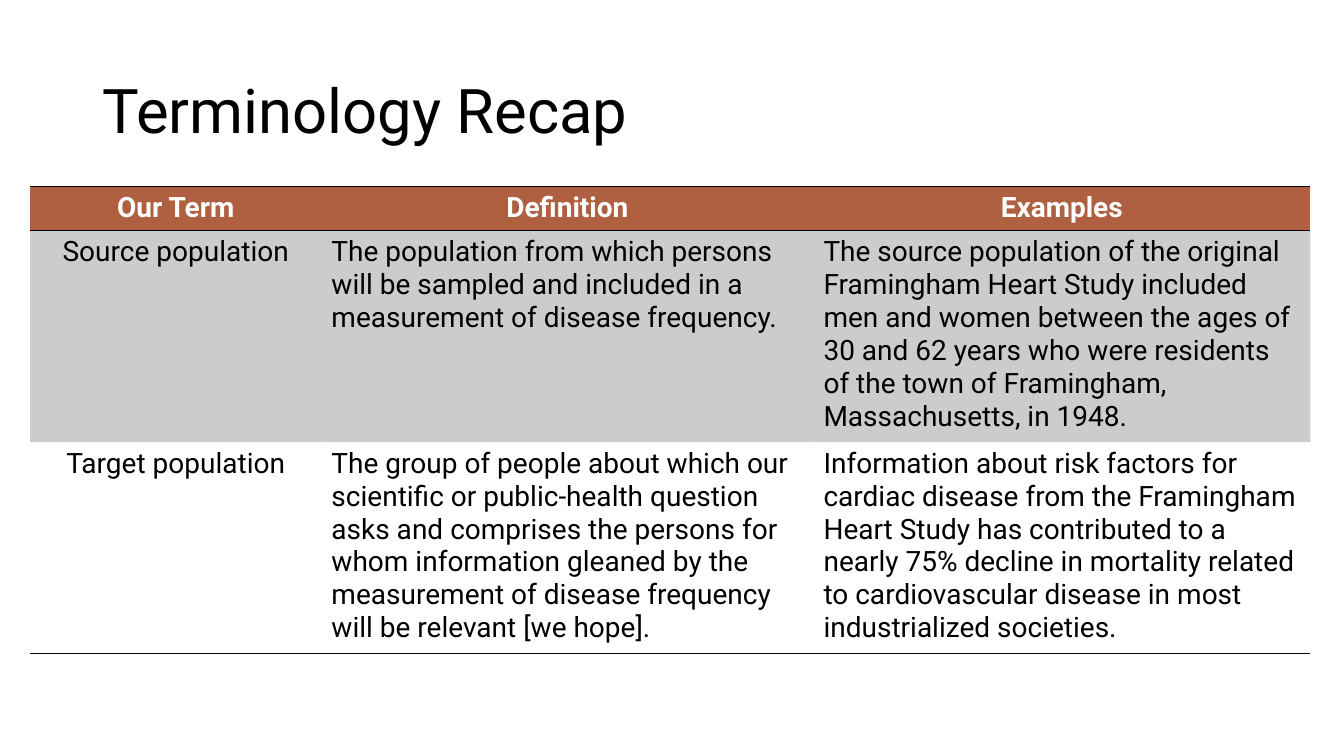
import pptx
import pptx.dml.color
import pptx.enum.text
import pptx.oxml
import pptx.oxml.ns
import pptx.util
from lxml import etree

Cm = pptx.util.Cm
Pt = pptx.util.Pt
RGBColor = pptx.dml.color.RGBColor
PP_ALIGN = pptx.enum.text.PP_ALIGN

BLACK = RGBColor(0x00, 0x00, 0x00)
WHITE = RGBColor(0xFF, 0xFF, 0xFF)
RUST = RGBColor(0xAE, 0x60, 0x41)
FONT = "Roboto"
PLAIN_TABLE_STYLE = "{2D5ABB26-0587-4C30-8999-92F81FD0307C}"

COLUMN_WIDTHS = (Cm(7.34), Cm(12.4), Cm(12.52))
ROW_HEIGHTS = (Cm(1.09), Cm(5.24), Cm(5.24))
TERMS = (
    ("Our Term", "Definition", "Examples"),
    (
        "Source population",
        "The population from which persons will be sampled and included in a "
        "measurement of disease frequency.",
        "The source population of the original Framingham Heart Study included "
        "men and women between the ages of 30 and 62 years who were residents "
        "of the town of Framingham, Massachusetts, in 1948.",
    ),
    (
        "Target population",
        "The group of people about which our scientific or public-health "
        "question asks and comprises the persons for whom information gleaned "
        "by the measurement of disease frequency will be relevant [we hope].",
        "Information about risk factors for cardiac disease from the Framingham "
        "Heart Study has contributed to a nearly 75% decline in mortality "
        "related to cardiovascular disease in most industrialized societies.",
    ),
)


def style_paragraph(para, size, color, bold=False, align=PP_ALIGN.LEFT):
    para.alignment = align
    para.font.name = FONT
    para.font.size = Pt(size)
    para.font.bold = bold
    para.font.color.rgb = color


def add_title(page, text):
    box = page.shapes.add_textbox(Cm(2.33), Cm(1.02), Cm(29.21), Cm(3.68))
    frame = box.text_frame
    frame.word_wrap = True
    frame.vertical_anchor = pptx.enum.text.MSO_ANCHOR.MIDDLE
    frame.text = text
    para = frame.paragraphs[0]
    para.line_spacing = 0.9
    style_paragraph(para, 44, BLACK)


def fill_cell(cell, color, opacity=100):
    """Fill a cell; opacity is in percent."""
    cell.fill.solid()
    cell.fill.fore_color.rgb = color
    if opacity < 100:
        tint = next(cell._tc.tcPr.iter(pptx.oxml.ns.qn("a:srgbClr")))
        alpha = etree.SubElement(tint, pptx.oxml.ns.qn("a:alpha"))
        alpha.set("val", str(opacity * 1000))


def add_borders(cell, sides):
    """Draw 1 pt black borders; sides holds T and B in that order."""
    properties = cell._tc.get_or_add_tcPr()
    for position, side in enumerate(sides):
        line = pptx.oxml.parse_xml(
            f'<a:ln{side} {pptx.oxml.ns.nsdecls("a")} w="{Pt(1)}">'
            f'<a:solidFill><a:srgbClr val="{BLACK}"/></a:solidFill>'
            f'</a:ln{side}>'
        )
        properties.insert(position, line)


def add_terms_table(page):
    frame = page.shapes.add_table(
        len(TERMS), len(COLUMN_WIDTHS), Cm(0.76), Cm(4.7),
        sum(COLUMN_WIDTHS), sum(ROW_HEIGHTS),
    )
    table = frame.table
    table.horz_banding = False
    style_id = table._tbl.tblPr.find(pptx.oxml.ns.qn("a:tableStyleId"))
    style_id.text = PLAIN_TABLE_STYLE
    for column, width in zip(table.columns, COLUMN_WIDTHS):
        column.width = width
    for row, height in zip(table.rows, ROW_HEIGHTS):
        row.height = height

    for row_index, texts in enumerate(TERMS):
        is_header = row_index == 0
        for column_index, text in enumerate(texts):
            cell = table.cell(row_index, column_index)
            cell.text = text
            centred = is_header or column_index == 0
            style_paragraph(
                cell.text_frame.paragraphs[0], 20,
                WHITE if is_header else BLACK, bold=is_header,
                align=PP_ALIGN.CENTER if centred else PP_ALIGN.LEFT,
            )
            if is_header:
                fill_cell(cell, RUST)
                add_borders(cell, "TB")
            elif row_index == 1:
                fill_cell(cell, BLACK, opacity=20)
            else:
                cell.fill.background()
                add_borders(cell, "B")


def main():
    deck = pptx.Presentation()
    deck.slide_width = Cm(33.87)
    deck.slide_height = Cm(19.05)
    page = deck.slides.add_slide(deck.slide_layouts[6])
    add_title(page, "Terminology Recap")
    add_terms_table(page)
    deck.save("out.pptx")


if __name__ == "__main__":
    main()
